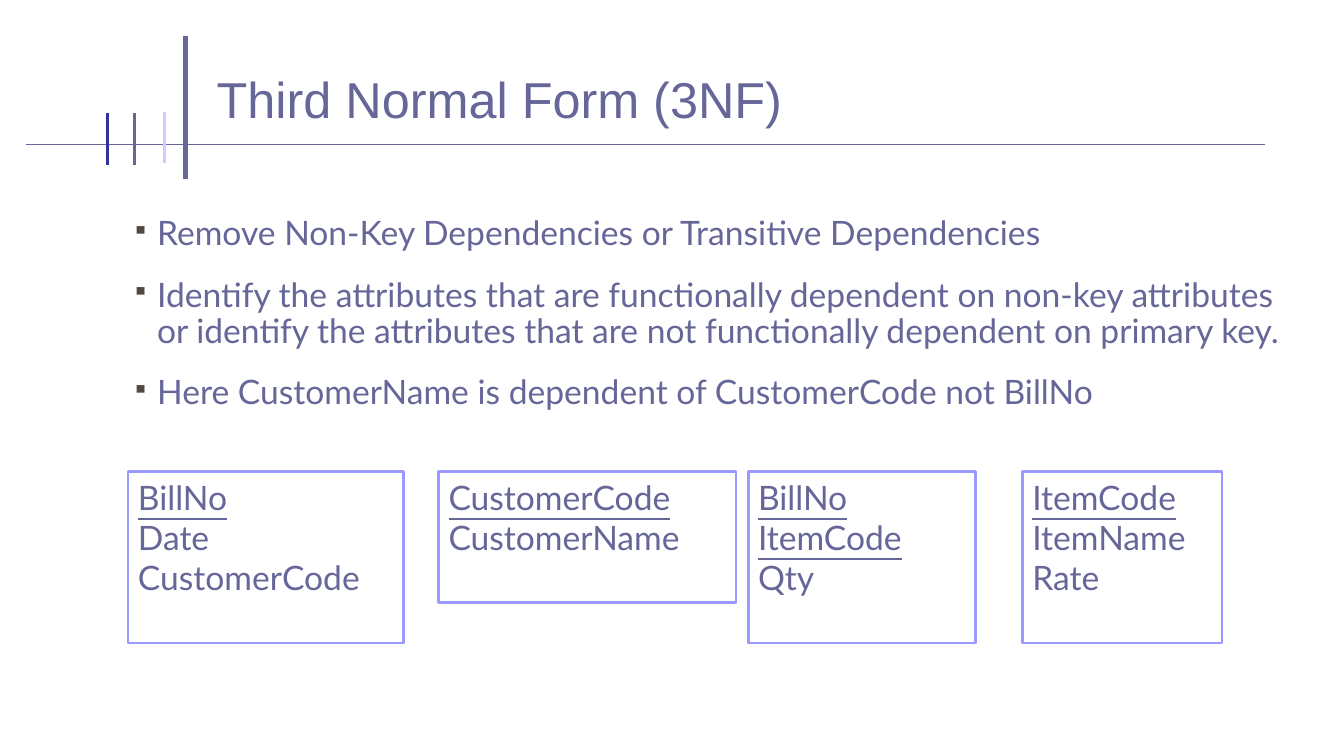
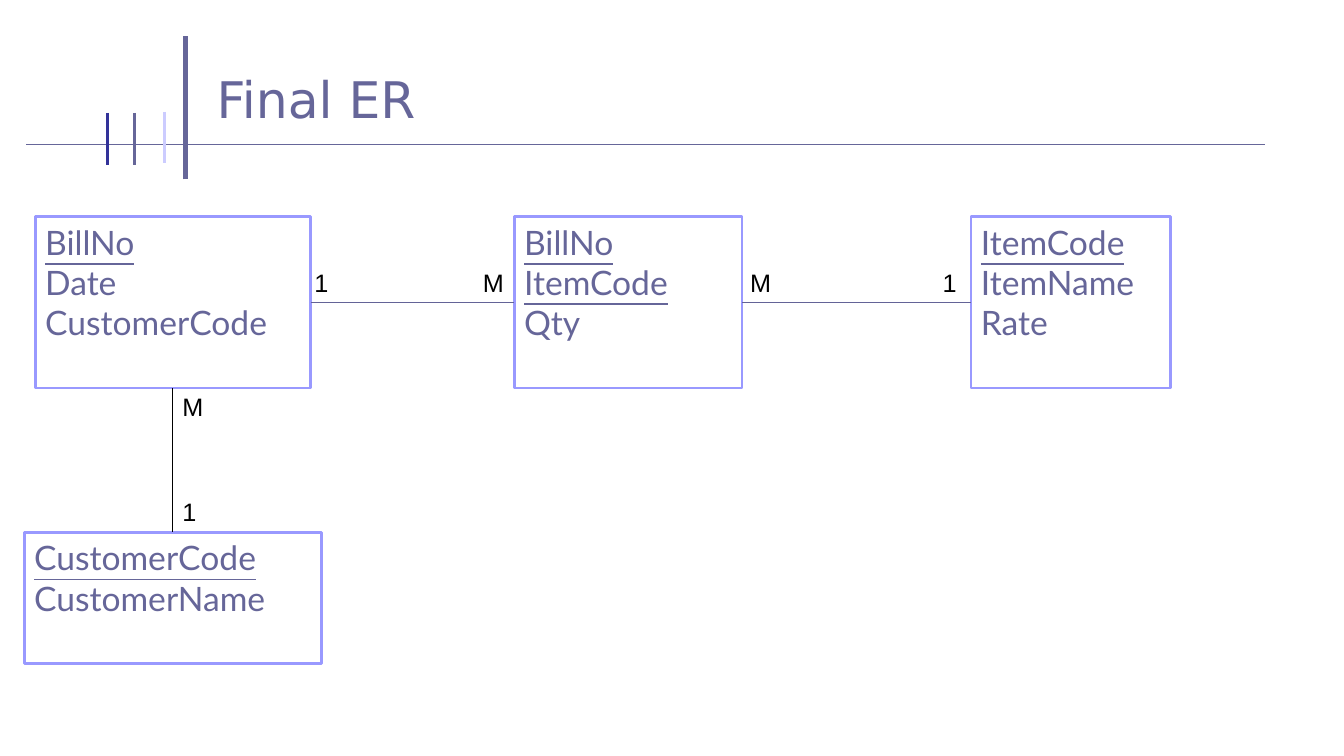
from dataclasses import dataclass

from lxml import etree
from pptx import Presentation
from pptx.dml.color import RGBColor
from pptx.enum import shapes, text
from pptx.oxml import ns
from pptx.util import Inches, Pt


@dataclass(frozen=True)
class Theme:
    ink: str = "666699"
    navy: str = "333399"
    pale: str = "CCCCFF"
    border: str = "9999FF"
    link: str = "636397"
    bullet: str = "514843"
    black: str = "000000"
    white: str = "FFFFFF"
    body_font: str = "Lato"
    label_font: str = "Arial"
    title_size: int = 36
    body_size: int = 24
    label_size: int = 18


T = Theme()

FRAME_LINES = [
    ((1.84, 1.78), (1.84, 0.36), T.ink, 3),
    ((0.26, 1.43), (12.55, 1.43), T.ink, 0.75),
    ((1.63, 1.11), (1.63, 1.62), T.pale, 2.25),
    ((1.33, 1.12), (1.33, 1.64), T.ink, 2.25),
    ((1.07, 1.12), (1.07, 1.64), T.navy, 2.25),
]

ENTITIES = {
    "bill": (2.73, 1.7, ["BillNo"], ["Date", "CustomerCode"]),
    "bill_item": (2.26, 1.7, ["BillNo", "ItemCode"], ["Qty"]),
    "item": (1.98, 1.7, ["ItemCode"], ["ItemName", "Rate"]),
    "customer": (2.95, 1.3, ["CustomerCode"], ["CustomerName"]),
}

BULLETS = [
    "Remove Non-Key Dependencies or Transitive Dependencies",
    "Identify the attributes that are functionally dependent on non-key attributes "
    "or identify the attributes that are not functionally dependent on primary key.",
    "Here CustomerName is dependent of CustomerCode not BillNo",
]

TABLES_TOP = 4.68
TABLES_LEFT = {"bill": 1.27, "bill_item": 7.42, "item": 10.14, "customer": 4.35}

ER_PLACES = {
    "bill": (0.35, 2.15),
    "bill_item": (5.1, 2.15),
    "item": (9.63, 2.15),
    "customer": (0.24, 5.28),
}
TOP, LEFT, BOTTOM, RIGHT = range(4)
RELATIONS = [
    ("bill", BOTTOM, "customer", TOP, T.black),
    ("bill", RIGHT, "bill_item", LEFT, T.link),
    ("bill_item", RIGHT, "item", LEFT, T.link),
]
LABEL_WIDTHS = {"1": 0.34, "M": 0.41}
ROW_LABELS_TOP = 2.6
ROW_LABELS = [("1", 3.02), ("M", 4.69), ("M", 7.34), ("1", 9.25)]
COLUMN_LABELS_LEFT = 1.71
COLUMN_LABELS = [("M", 3.83), ("1", 4.87)]


def rgb(color):
    return RGBColor.from_string(color)


def style(p, font, size, color, underline=None):
    for r in p.runs:
        r.font.name = font
        r.font.size = Pt(size)
        r.font.color.rgb = rgb(color)
        r.font.underline = underline


def add_line(s, start, end, color, width):
    ends = [Inches(v) for v in (*start, *end)]
    line = s.shapes.add_connector(shapes.MSO_CONNECTOR.STRAIGHT, *ends)
    line.line.color.rgb = rgb(color)
    line.line.width = Pt(width)
    etree.SubElement(line._element.spPr, ns.qn("a:effectLst"))
    return line


def add_text(s, box, content, font, size, color, wrap=True):
    tb = s.shapes.add_textbox(*[Inches(v) for v in box])
    tf = tb.text_frame
    tf.word_wrap = wrap
    tf.text = content
    for p in tf.paragraphs:
        style(p, font, size, color)
    return tf


def add_slide(prs, title, title_font):
    s = prs.slides.add_slide(prs.slide_layouts[6])
    for line in FRAME_LINES:
        add_line(s, *line)
    tf = add_text(s, (2.05, 0.28, 10.89, 1.39), title, title_font, T.title_size, T.ink)
    tf.vertical_anchor = text.MSO_ANCHOR.MIDDLE
    return s


def add_bullet(p):
    p.line_spacing = 0.9
    p.space_before = Pt(18)
    pPr = p._p.get_or_add_pPr()
    pPr.set("marL", str(Inches(0.25)))
    pPr.set("indent", str(Inches(-0.25)))
    color = etree.SubElement(pPr, ns.qn("a:buClr"))
    etree.SubElement(color, ns.qn("a:srgbClr"), val=T.bullet)
    etree.SubElement(pPr, ns.qn("a:buSzPct"), val="70000")
    etree.SubElement(pPr, ns.qn("a:buChar"), char="▪")


def add_entity(s, name, left, top):
    width, height, keys, attributes = ENTITIES[name]
    box = [Inches(v) for v in (left, top, width, height)]
    sp = s.shapes.add_shape(shapes.MSO_SHAPE.RECTANGLE, *box)
    sp.shadow.inherit = False
    sp.fill.solid()
    sp.fill.fore_color.rgb = rgb(T.white)
    sp.line.color.rgb = rgb(T.border)
    sp.line.width = Pt(2)
    tf = sp.text_frame
    tf.vertical_anchor = text.MSO_ANCHOR.TOP
    tf.text = "\n".join(keys + attributes)
    for i, p in enumerate(tf.paragraphs):
        p.alignment = text.PP_ALIGN.LEFT
        style(p, T.body_font, T.body_size, T.ink, i < len(keys))
    return sp


def build_normal_form(prs):
    s = add_slide(prs, "Third Normal Form (3NF)", "Arial")
    tf = add_text(s, (1.21, 2.1, 11.72, 2.3), "\n".join(BULLETS),
                  T.body_font, T.body_size, T.ink)
    for p in tf.paragraphs:
        add_bullet(p)
    for name, left in TABLES_LEFT.items():
        add_entity(s, name, left, TABLES_TOP)


def build_final_er(prs):
    s = add_slide(prs, "Final ER", "DejaVu Sans")
    boxes = {name: add_entity(s, name, *place) for name, place in ER_PLACES.items()}
    for source, source_side, target, target_side, color in RELATIONS:
        line = add_line(s, (0, 0), (0, 0), color, 0.75)
        line.begin_connect(boxes[source], source_side)
        line.end_connect(boxes[target], target_side)
    labels = [(label, left, ROW_LABELS_TOP) for label, left in ROW_LABELS]
    labels += [(label, COLUMN_LABELS_LEFT, top) for label, top in COLUMN_LABELS]
    for label, left, top in labels:
        add_text(s, (left, top, LABEL_WIDTHS[label], 0.4), label,
                 T.label_font, T.label_size, T.black, wrap=False)


def main():
    prs = Presentation()
    prs.slide_width = Inches(13.33)
    prs.slide_height = Inches(7.5)
    build_normal_form(prs)
    build_final_er(prs)
    prs.save("out.pptx")


if __name__ == "__main__":
    main()
